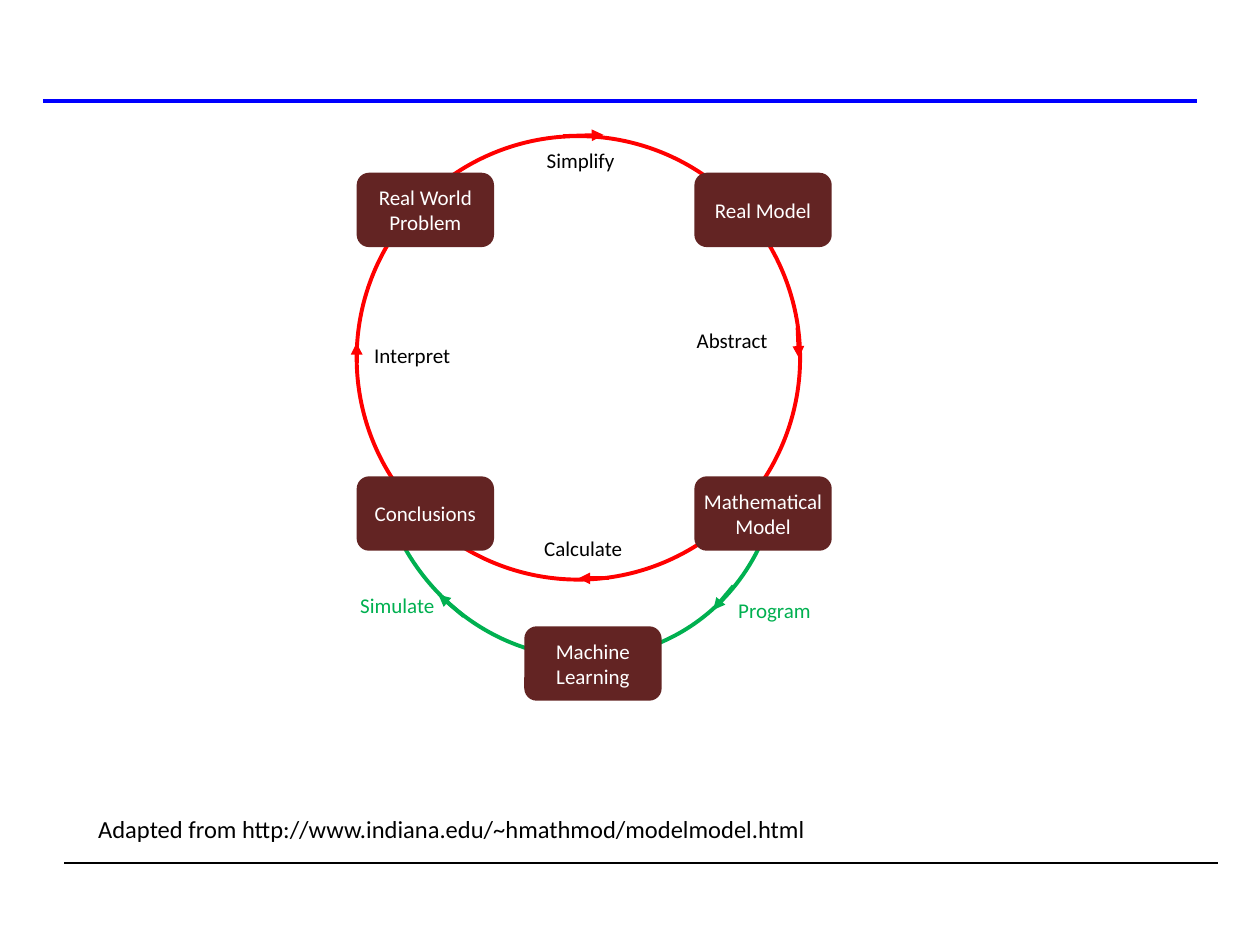
import pptx
import pptx.dml.color
import pptx.enum.shapes
import pptx.enum.text
import pptx.util
from lxml import etree
from pptx.oxml.ns import qn

Pt = pptx.util.Pt
SHAPES = pptx.enum.shapes.MSO_SHAPE
FONT = "Calibri"
COLORS = {
    "cycle": "FF0000",
    "computing": "00B050",
    "stage": "632423",
    "stage_text": "FFFFFF",
    "text": "000000",
    "header_rule": "0000FF",
}
STAGE_WIDTH, STAGE_HEIGHT = 78.5, 42.5
STAGES = [
    ("Real World Problem", 0, 20.9, 7.2),
    ("Real Model", 193, 20.9, 7.2),
    ("Mathematical Model", 193, 194.4, 0),
    ("Conclusions", 0, 194.4, 0),
    ("Machine Learning", 95.8, 280.1, 7.2),
]
ARROWS = [
    ("cycle", 252, 109.4, 252.7, 126.7),
    ("computing", 215.3, 257, 203.8, 270.7),
    ("computing", 61.2, 274.3, 46.8, 262.1),
    ("cycle", 144, 252.7, 126.7, 252.7),
    ("cycle", 0, 129.6, 0, 118.1),
    ("cycle", 118.1, 0, 141.1, -0.7),
]
LABELS = [
    ("Simplify", "text", 101.5, 2.9, 66.2),
    ("Abstract", "text", 187.2, 105.8, 66.2),
    ("Interpret", "text", 2.9, 114.5, 73.4),
    ("Calculate", "text", 100.1, 224.6, 73.4),
    ("Program", "computing", 211, 259.9, 83.5),
    ("Simulate", "computing", -5, 257, 83.5),
]


def rgb(name):
    """Return the named colour."""
    return pptx.dml.color.RGBColor.from_string(COLORS[name])


def write(shape, text, color, size):
    """Set a shape's wording in one text style."""
    shape.text_frame.word_wrap = True
    shape.text_frame.text = text
    font = shape.text_frame.paragraphs[0].runs[0].font
    font.name, font.size = FONT, Pt(size)
    font.color.rgb = rgb(color)


def add_line(shapes, start, end, color, width, arrow=False):
    """Add a straight line, with an arrowhead at its end if asked."""
    line = shapes.add_connector(
        pptx.enum.shapes.MSO_CONNECTOR.STRAIGHT, *map(Pt, start + end)
    )
    line.line.color.rgb = rgb(color)
    line.line.width = Pt(width)
    if arrow:
        etree.SubElement(line.line._get_or_add_ln(), qn("a:tailEnd"), type="triangle")
    etree.SubElement(line._element.spPr, qn("a:effectLst"))


def add_text(shapes, text, box, color, size):
    """Add a wrapped text box."""
    write(shapes.add_textbox(*map(Pt, box)), text, color, size)


def add_outline(shapes, kind, box, color):
    """Add an unfilled curve and return it."""
    shape = shapes.add_shape(kind, *map(Pt, box))
    shape.shadow.inherit = False
    shape.fill.background()
    shape.line.color.rgb = rgb(color)
    shape.line.width = Pt(2.25)
    return shape


def add_stage(shapes, text, left, top, inset):
    """Add one rounded box of the modelling cycle."""
    shape = shapes.add_shape(
        SHAPES.ROUNDED_RECTANGLE, *map(Pt, (left, top, STAGE_WIDTH, STAGE_HEIGHT))
    )
    shape.shadow.inherit = False
    shape.fill.solid()
    shape.fill.fore_color.rgb = rgb("stage")
    shape.line.fill.background()
    write(shape, text, "stage_text", 12)
    frame = shape.text_frame
    frame.margin_left = frame.margin_right = Pt(inset)
    frame.vertical_anchor = pptx.enum.text.MSO_ANCHOR.MIDDLE
    frame.paragraphs[0].alignment = pptx.enum.text.PP_ALIGN.CENTER


def add_cycle(slide, left, top, diameter):
    """Draw the modelling cycle, its computing arc, stages and labels."""
    shapes = slide.shapes.add_group_shape().shapes
    arc = add_outline(
        shapes, SHAPES.ARC, (left + 11.5, top + 54, 229.7, 244.8), "computing"
    )
    arc.adjustments[0], arc.adjustments[1] = 129.03, 0
    arc.rotation = 160
    add_outline(shapes, SHAPES.OVAL, (left, top, diameter, diameter), "cycle")
    for text, x, y, inset in STAGES:
        add_stage(shapes, text, left + x, top + y, inset)
    for color, x1, y1, x2, y2 in ARROWS:
        start, end = (left + x1, top + y1), (left + x2, top + y2)
        add_line(shapes, start, end, color, 2.25, arrow=True)
    for text, color, x, y, width in LABELS:
        add_text(shapes, text, (left + x, top + y, width, 21.6), color, 12)


def add_frame(slide, left, top, width, height):
    """Draw the header rule and the slightly shifted footer rule."""
    right, bottom, shift = left + width, top + height, 12.2
    add_line(slide.shapes, (left, top), (right, top), "header_rule", 2.25)
    add_line(
        slide.shapes, (left + shift, bottom), (right + shift, bottom), "text", 0.75
    )


def main():
    """Build and save the slide."""
    presentation = pptx.Presentation()
    presentation.slide_width, presentation.slide_height = Pt(720), Pt(540)
    slide = presentation.slides.add_slide(presentation.slide_layouts[6])
    add_frame(slide, 24.5, 57.6, 659.5, 435.6)
    add_cycle(slide, 203.8, 77.8, 253.4)
    add_text(
        slide.shapes,
        "Adapted from http://www.indiana.edu/~hmathmod/modelmodel.html",
        (49, 461.5, 622.8, 24.5),
        "text",
        14,
    )
    presentation.save("out.pptx")


if __name__ == "__main__":
    main()
